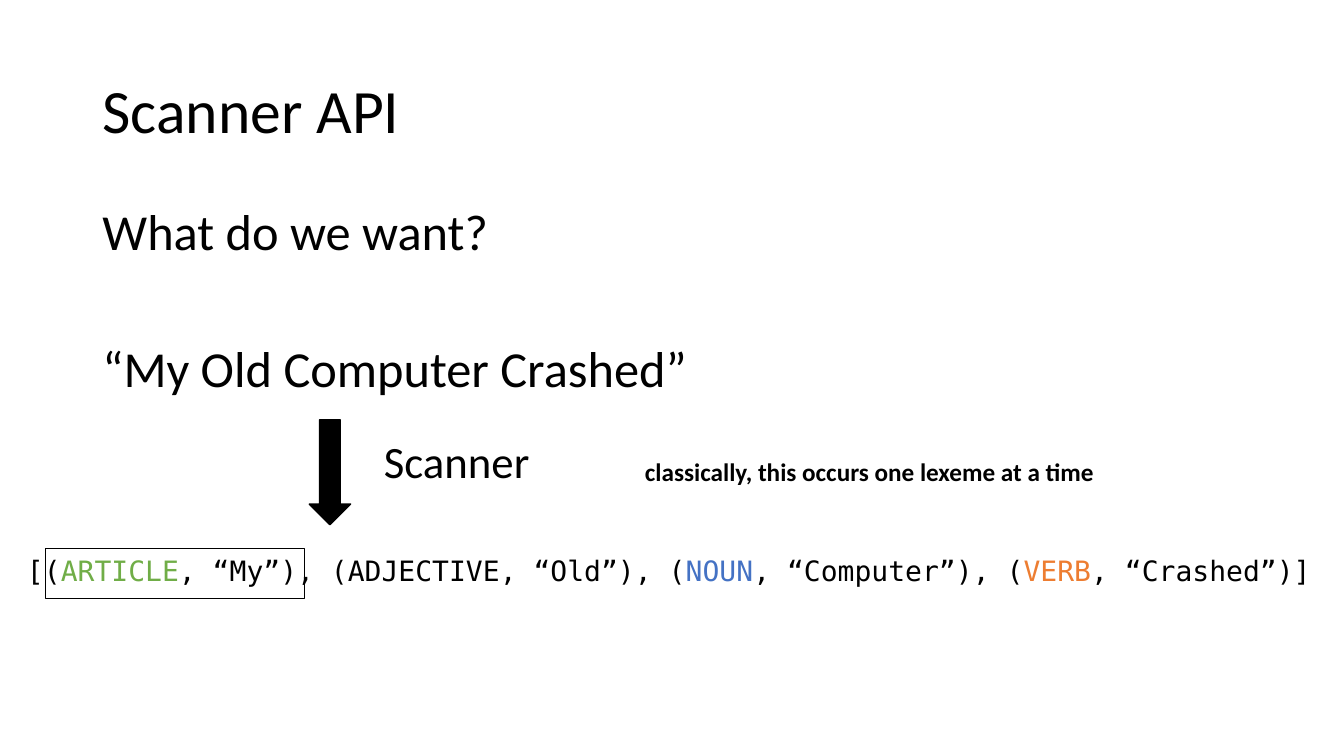
from lxml.etree import SubElement
from pptx import Presentation
from pptx.dml.color import RGBColor
from pptx.enum.shapes import MSO_SHAPE as Shape
from pptx.enum.text import MSO_ANCHOR as Anchor, MSO_AUTO_SIZE as Fit, PP_ALIGN as Align
from pptx.oxml.ns import qn
from pptx.util import Pt

COLORS = {"ink": "000000", "article": "70AD47", "noun": "4472C4", "verb": "ED7D31"}
TOKENS = [
    ("[(", "ink"), ("ARTICLE", "article"),
    (", “My”), (ADJECTIVE, “Old”), (", "ink"), ("NOUN", "noun"),
    (", “Computer”), (", "ink"), ("VERB", "verb"),
    (", “Crashed”)]", "ink"),
]


class SlideBuilder:
    def __init__(self, deck):
        self.page = deck.slides.add_slide(deck.slide_layouts[1])
        self.sans = "Calibri"
        self.mono = "DejaVu Sans Mono"

    def color(self, name):
        return RGBColor.from_string(COLORS[name])

    def apply(self, target, formats):
        for name, value in formats.items():
            setattr(target, name, value)

    def place(self, box, bounds):
        names = ("left", "top", "width", "height")
        self.apply(box, dict(zip(names, map(Pt, bounds))))

    def add_spans(self, para, spans, size, font=None, bold=False):
        for text, color in spans:
            span = para.add_run()
            span.text = text
            self.apply(span.font, {"name": font or self.sans, "size": Pt(size), "bold": bold})
            span.font.color.rgb = self.color(color)

    def title(self, text, bounds, size):
        box = self.page.shapes.title
        self.place(box, bounds)
        self.apply(box.text_frame, {
            "vertical_anchor": Anchor.MIDDLE, "auto_size": Fit.NONE, "word_wrap": True})
        para = box.text_frame.paragraphs[0]
        self.apply(para, {"alignment": Align.LEFT, "line_spacing": 0.9})
        self.add_spans(para, [(text, "ink")], size)

    def body(self, lines, bounds, size):
        box = self.page.placeholders[1]
        self.place(box, bounds)
        frame = box.text_frame
        self.apply(frame, {
            "vertical_anchor": Anchor.TOP, "auto_size": Fit.SHAPE_TO_FIT_TEXT, "word_wrap": False})
        for index, (text, gap) in enumerate(lines):
            para = frame.add_paragraph() if index else frame.paragraphs[0]
            self.apply(para, {
                "alignment": Align.LEFT, "line_spacing": 0.9, "space_before": Pt(gap)})
            properties = para._p.get_or_add_pPr()
            for name in ("marL", "indent"):
                properties.set(name, "0")
            SubElement(properties, qn("a:buNone"))
            self.add_spans(para, [(text, "ink")], size)

    def label(self, spans, bounds, size, **style):
        box = self.page.shapes.add_textbox(*map(Pt, bounds))
        self.apply(box.text_frame, {"word_wrap": False, "auto_size": Fit.SHAPE_TO_FIT_TEXT})
        self.add_spans(box.text_frame.paragraphs[0], spans, size, **style)

    def shape(self, kind, bounds, fill=None, rotation=0):
        box = self.page.shapes.add_shape(kind, *map(Pt, bounds))
        box.rotation = rotation
        box.shadow.inherit = False
        if fill:
            box.fill.solid()
            box.fill.fore_color.rgb = self.color(fill)
        else:
            box.fill.background()
        box.line.color.rgb = self.color("ink")
        box.line.width = Pt(1)


def main():
    deck = Presentation()
    deck.slide_width, deck.slide_height = Pt(960), Pt(540)
    slide = SlideBuilder(deck)
    slide.title("Scanner API", (66, 28.8, 828, 104.4), 44)
    slide.body([("What do we want?", 10), ("“My Old Computer Crashed”", 59.5)],
               (66, 144, 435, 145.4), 36)
    slide.shape(Shape.RIGHT_ARROW, (198.2, 322.6, 75, 29.5), fill="ink", rotation=90)
    slide.label([("Scanner", "ink")], (267.1, 306, 119.5, 46), 32)
    slide.label([("classically, this occurs one lexeme at a time", "ink")],
                (453.6, 322.6, 337.7, 29), 18, bold=True)
    slide.shape(Shape.RECTANGLE, (32.4, 391.7, 185, 36))
    slide.label(TOKENS, (12.2, 391.7, 935.3, 31.5), 20, font=slide.mono)
    deck.save("out.pptx")


if __name__ == "__main__":
    main()
